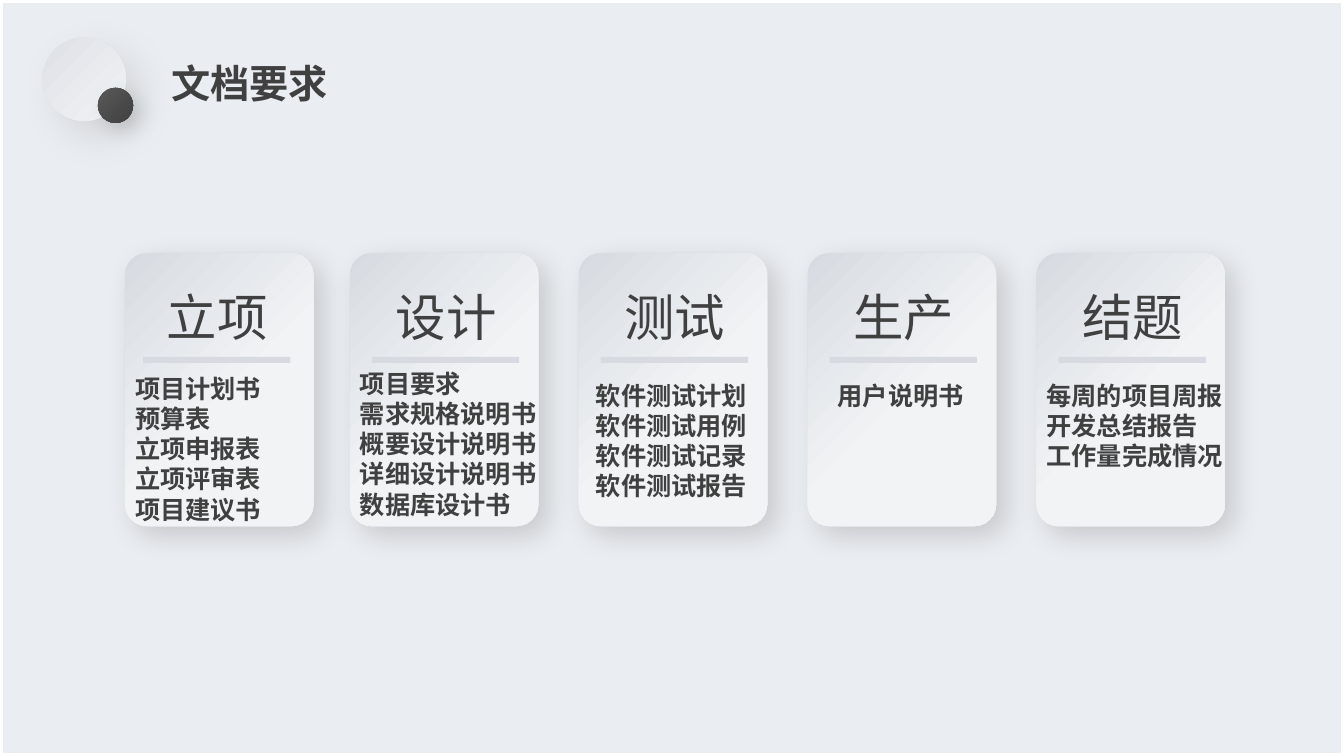
from lxml.etree import SubElement
from pptx import Presentation
from pptx.dml.color import RGBColor
from pptx.enum.shapes import MSO_SHAPE
from pptx.enum.text import MSO_ANCHOR, MSO_AUTO_SIZE, PP_ALIGN
from pptx.oxml.ns import qn
from pptx.util import Inches, Pt

INK = RGBColor(0x40, 0x40, 0x40)
INK_LIGHT = RGBColor(0x59, 0x59, 0x59)
PAPER = RGBColor(0xEA, 0xED, 0xF1)
SILVER = RGBColor(0xD7, 0xDB, 0xE1)
MIST = RGBColor(0xDE, 0xE1, 0xE6)
PEARL = RGBColor(0xF1, 0xF3, 0xF5)
WHITE = RGBColor(0xFF, 0xFF, 0xFF)

COLUMN_LEFT = 1.2
COLUMN_STEP = 2.27
STAGES = [
    ("立项", 1.24, (1.24, 3.65, 1.46, 1.92),
     ["项目计划书", "预算表", "立项申报表", "立项评审表", "项目建议书"]),
    ("设计", 3.47, (3.47, 3.6, 1.97, 1.92),
     ["项目要求", "需求规格说明书", "概要设计说明书", "详细设计说明书", "数据库设计书"]),
    ("测试", 5.74, (5.81, 3.72, 1.72, 1.31),
     ["软件测试计划", "软件测试用例", "软件测试记录", "软件测试报告"]),
    ("生产", 8.01, (8.21, 3.72, 1.46, 0.4), ["用户说明书"]),
    ("结题", 10.28, (10.28, 3.72, 1.97, 1.01),
     ["每周的项目周报", "开发总结报告", "工作量完成情况"]),
]


def write_text(shape, text, size=18, bold=False, align=PP_ALIGN.LEFT,
               anchor=MSO_ANCHOR.TOP, wrap=True, font="Noto Sans CJK SC", color=INK):
    frame = shape.text_frame
    frame.text = text
    frame.word_wrap = wrap
    frame.auto_size = MSO_AUTO_SIZE.NONE
    frame.vertical_anchor = anchor
    for paragraph in frame.paragraphs:
        properties = paragraph._p.get_or_add_pPr()
        properties.set("marL", "0")
        properties.set("indent", "0")
        SubElement(properties, qn("a:buNone"))
        paragraph.alignment = align
        paragraph.space_before = Pt(0)
        paragraph.line_spacing = 1.0
        for run in paragraph.runs:
            run.font.size = Pt(size)
            run.font.bold = bold
            run.font.color.rgb = color
            run.font.name = font
            SubElement(run._r.get_or_add_rPr(), qn("a:ea"), typeface=font)


class SlideBuilder:
    def __init__(self, slide):
        self.slide = slide
        self.shapes = slide.shapes
        self.bodies = [item for item in slide.placeholders
                       if item.placeholder_format.idx > 0]

    def shape(self, kind, box, fill, line=None, corner=None):
        shape = self.shapes.add_shape(kind, *map(Inches, box))
        shape.shadow.inherit = False
        shape.fill.solid()
        shape.fill.fore_color.rgb = fill
        if line:
            shape.line.color.rgb = line
            shape.line.width = Pt(4.5)
        else:
            shape.line.fill.background()
        if corner is not None:
            shape.adjustments[0] = corner
        return shape

    def raised(self, kind, box, start, end, end_position, shadow, corner=None):
        shape = self.shape(kind, box, start, corner=corner)
        shape.fill.gradient()
        shape.fill.gradient_angle = 315
        for stop, color, position in zip(shape.fill.gradient_stops,
                                         (start, end), (0, end_position)):
            stop.color.rgb = color
            stop.position = position
        opacity, blur, distance = shadow
        effects = shape._element.spPr.find(qn("a:effectLst"))
        outer = SubElement(effects, qn("a:outerShdw"), blurRad=str(Pt(blur)),
                           dist=str(Pt(distance)), dir="2700000", algn="tl",
                           rotWithShape="0")
        black = SubElement(outer, qn("a:srgbClr"), val="000000")
        SubElement(black, qn("a:alpha"), val=str(opacity * 1000))

    def text(self, box, text, **style):
        write_text(self.shapes.add_textbox(*map(Inches, box)), text, **style)

    def placeholder(self, placeholder, box, text, **style):
        placeholder.left, placeholder.top, placeholder.width, placeholder.height = map(Inches, box)
        tree = placeholder.element.getparent()
        tree.append(placeholder.element)
        write_text(placeholder, text, **style)

    def title(self, box, text, **style):
        self.placeholder(self.shapes.title, box, text, **style)

    def documents(self, box, names):
        text = "\n".join(names)
        if len(names) > 1:
            self.placeholder(self.bodies.pop(0), box, text, bold=True, wrap=False)
        else:
            self.text(box, text, bold=True, wrap=False)

    def stage(self, column, heading, card_left, list_box, names):
        left = COLUMN_LEFT + column * COLUMN_STEP + 0.22
        self.raised(MSO_SHAPE.ROUNDED_RECTANGLE, (card_left, 2.51, 1.87, 2.71),
                    SILVER, PEARL, 0.55, (15, 20, 9), corner=0.115)
        self.text((left, 2.79, 1.47, 0.71), heading, size=36, align=PP_ALIGN.CENTER)
        self.shape(MSO_SHAPE.ROUNDED_RECTANGLE, (left, 3.54, 1.46, 0.06), SILVER, corner=0.09)
        self.documents(list_box, names)


def main():
    presentation = Presentation()
    presentation.slide_width = Inches(13.33)
    presentation.slide_height = Inches(7.5)
    comparison_layout = presentation.slide_layouts[4]
    builder = SlideBuilder(presentation.slides.add_slide(comparison_layout))
    builder.shape(MSO_SHAPE.RECTANGLE, (0, 0, 13.33, 7.5), PAPER, line=WHITE)
    builder.raised(MSO_SHAPE.OVAL, (0.42, 0.37, 0.83, 0.83), MIST, PEARL, 1, (10, 30, 15))
    builder.raised(MSO_SHAPE.OVAL, (0.97, 0.87, 0.35, 0.35), INK_LIGHT, INK, 1, (15, 15, 8))
    builder.title((1.6, 0.45, 3.21, 0.75), "文档要求", size=28, bold=True,
                  anchor=MSO_ANCHOR.MIDDLE)
    for column, stage in enumerate(STAGES):
        builder.stage(column, *stage)
    presentation.save("out.pptx")


if __name__ == "__main__":
    main()
